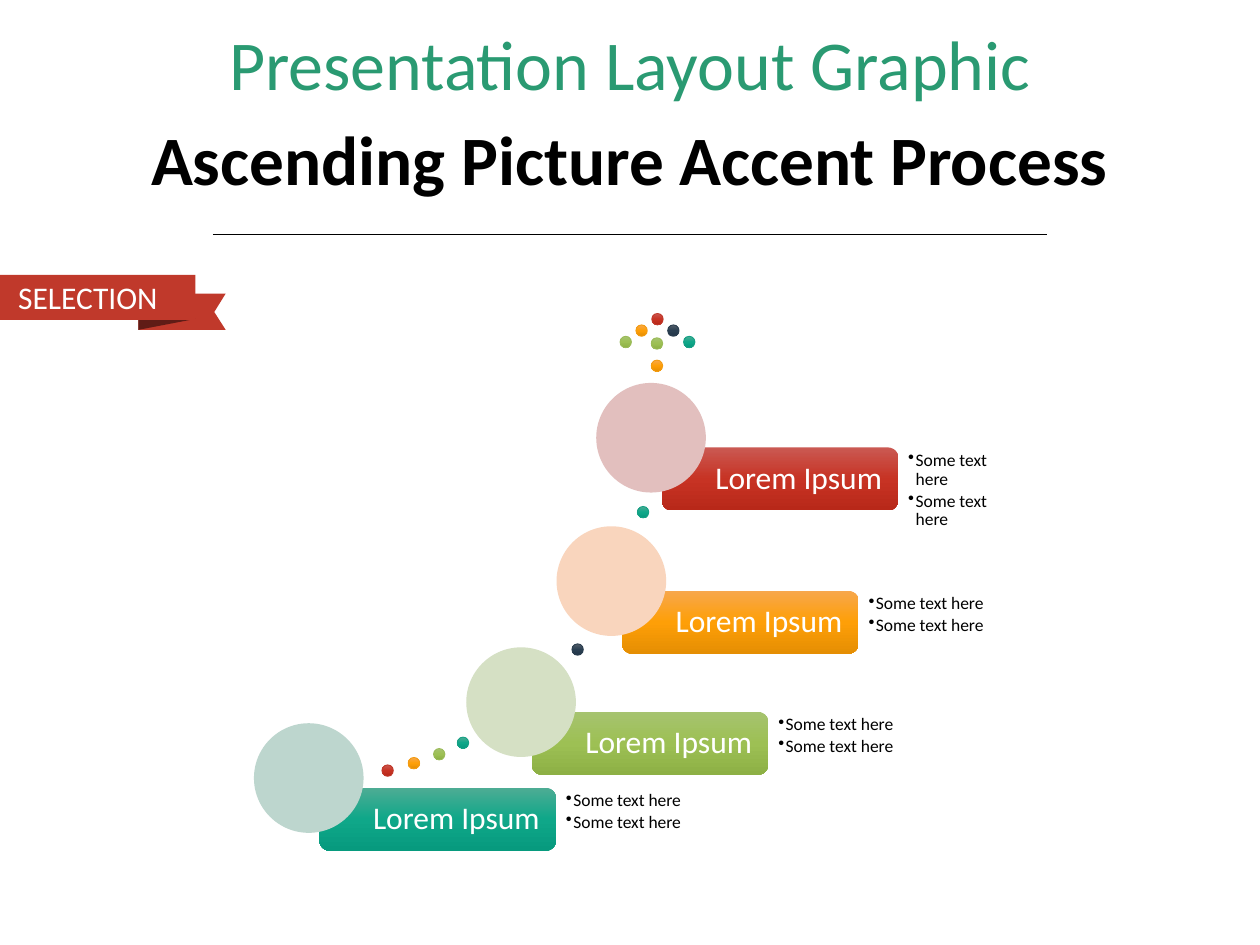
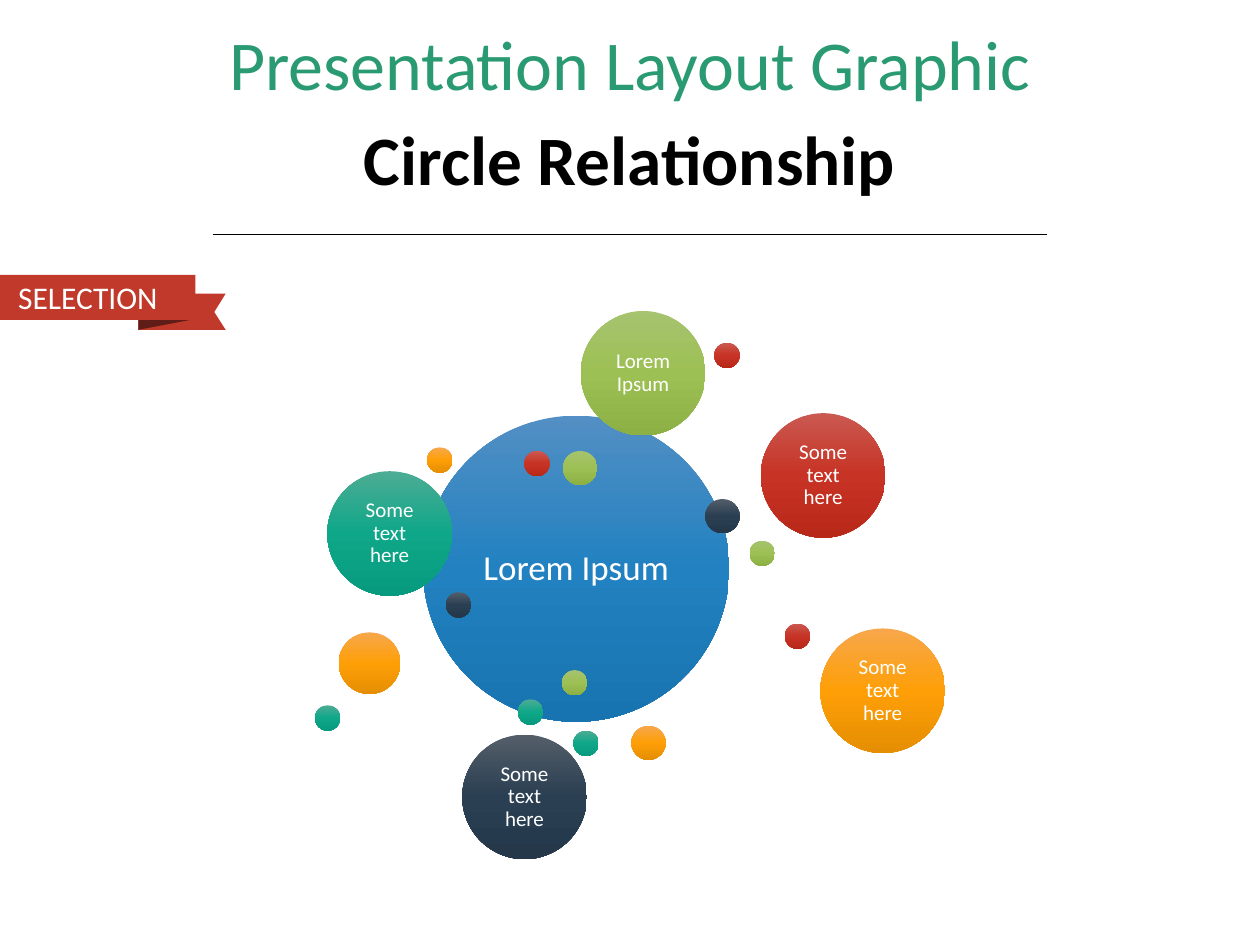
from dataclasses import dataclass
from itertools import cycle

from lxml.etree import SubElement
from pptx import Presentation
from pptx.dml.color import RGBColor
from pptx.enum.shapes import MSO_CONNECTOR, MSO_SHAPE
from pptx.enum.text import MSO_ANCHOR, PP_ALIGN
from pptx.oxml.ns import qn
from pptx.util import Cm, Pt

HEADING = "Presentation Layout Graphic"
RIBBON = "SELECTION"

STEPS_TITLE = "Ascending Picture Accent Process"
BULLETS = ["Some text here", "Some text here"]
STEPS = [
    ("Lorem Ipsum", "teal", 6.44, 15.88),
    ("Lorem Ipsum", "green", 10.72, 14.35),
    ("Lorem Ipsum", "orange", 12.54, 11.91),
    ("Lorem Ipsum", "red", 13.34, 9.02),
]
TRAIL = [(9.22, 14.86), (8.74, 15.09), (8.23, 15.27), (7.7, 15.42), (11.53, 12.98), (12.85, 10.21)]
ARROW_HEAD = [(12.5 + 0.32 * i, 6.32 + 0.23 * abs(i - 2)) for i in range(5)]
ARROW_STEM = [(13.13, 6.81), (13.13, 7.26)]

CIRCLES_TITLE = "Circle Relationship"
HUB = ("Lorem Ipsum", 8.53, 8.38)
SIZES = {"dot": 0.51, "bead": 0.69, "ball": 1.24, "label": 2.51, "hub": 6.17}
SATELLITES = [
    ("dot", 10.44, 14.1, ""),
    ("dot", 15.11, 10.9, ""),
    ("bead", 12.73, 14.63, ""),
    ("dot", 10.57, 9.09, ""),
    ("dot", 8.99, 11.94, ""),
    ("label", 6.6, 9.5, "Some text here"),
    ("bead", 11.35, 9.09, ""),
    ("ball", 6.83, 12.75, ""),
    ("label", 15.34, 8.33, "Some text here"),
    ("bead", 14.22, 10.06, ""),
    ("dot", 6.35, 14.22, ""),
    ("dot", 11.33, 13.51, ""),
    ("label", 16.54, 12.67, "Some text here"),
    ("dot", 15.82, 12.57, ""),
    ("label", 9.32, 14.81, "Some text here"),
    ("dot", 11.56, 14.73, ""),
    ("label", 11.71, 6.27, "Lorem Ipsum"),
    ("dot", 8.61, 9.02, ""),
    ("dot", 14.4, 6.91, ""),
]


@dataclass(frozen=True)
class Theme:
    font: str = "Calibri"
    heading: str = "2A9A72"
    ink: str = "000000"
    paper: str = "FFFFFF"
    ribbon: str = "C0392B"
    fold: str = "601C16"
    heading_size: float = 40
    title_size: float = 39.6
    hub_size: float = 20
    label_size: float = 18
    circle_size: float = 12
    bullet_size: float = 10


THEME = Theme()
GRADIENTS = {
    "teal": ("4DAC94", "0FA789", "079A7E"),
    "green": ("A6C36F", "9DC054", "8DB045"),
    "orange": ("F7A74C", "FE9F07", "E58E03"),
    "red": ("CA5952", "C73324", "B82819"),
    "navy": ("545E69", "2A3F52", "24384A"),
    "blue": ("528FC4", "2281C0", "1874B1"),
}
OUTLINES = {"teal": "16A085", "green": "9BBB59", "orange": "F39C12", "red": "C0392B", "navy": "2C3F50"}
PHOTOS = {"teal": "BDD6CE", "green": "D5E0C4", "orange": "F9D5BD", "red": "E2BFBE"}
ACCENTS = ("teal", "green", "orange", "red", "navy")


def rgb(value):
    return RGBColor.from_string(value)


def box(*lengths):
    return [Cm(length) for length in lengths]


def paint(sp, color):
    sp.shadow.inherit = False
    sp.line.fill.background()
    if color not in GRADIENTS:
        sp.fill.solid()
        sp.fill.fore_color.rgb = rgb(color)
        return sp
    sp.fill.gradient()
    sp.fill.gradient_angle = 270
    stops = sp.element.spPr.find(".//" + qn("a:gsLst"))
    for stop in list(stops):
        stops.remove(stop)
    for pos, value in zip((0, 50000, 100000), GRADIENTS[color]):
        gs = SubElement(stops, qn("a:gs"), pos=str(pos))
        SubElement(gs, qn("a:srgbClr"), val=value)
    return sp


def add_shape(s, kind, bounds, color):
    return paint(s.shapes.add_shape(kind, *box(*bounds)), color)


def add_polygon(s, points, color):
    start, *rest = [box(*point) for point in points]
    builder = s.shapes.build_freeform(*start, scale=1.0)
    builder.add_line_segments(rest, close=True)
    return paint(builder.convert_to_shape(), color)


def write(sp, lines, size, color, align=PP_ALIGN.CENTER, insets=(0.25, 0.13, 0.25, 0.13),
          anchor=MSO_ANCHOR.MIDDLE, bold=False, bullet=False, spacing=0.9):
    tf = sp.text_frame
    tf.word_wrap = True
    tf.vertical_anchor = anchor
    tf.margin_left, tf.margin_top, tf.margin_right, tf.margin_bottom = box(*insets)
    tf.text = "\n".join(lines)
    for p in tf.paragraphs:
        if bullet:
            pPr = p._p.get_or_add_pPr()
            pPr.set("marL", str(Cm(0.15)))
            pPr.set("indent", str(-Cm(0.15)))
            SubElement(pPr, qn("a:buChar"), char="•")
            p.space_after = Pt(1.5)
        p.alignment = align
        p.line_spacing = spacing
        for r in p.runs:
            r.font.name = THEME.font
            r.font.size = Pt(size)
            r.font.bold = bold
            r.font.color.rgb = rgb(color)


def add_frame(prs, title):
    s = prs.slides.add_slide(prs.slide_layouts[6])
    heading = s.shapes.add_textbox(*box(1.75, 0.41, 21.89, 1.91))
    write(heading, [HEADING], THEME.heading_size, THEME.heading)
    rule = s.shapes.add_connector(MSO_CONNECTOR.STRAIGHT, *box(4.29, 4.72, 21.11, 4.72))
    rule.line.color.rgb = rgb(THEME.ink)
    rule.line.width = Pt(0.5)
    SubElement(rule.element.spPr, qn("a:effectLst"))
    add_polygon(s, [(2.79, 6.65), (4.55, 6.65), (4.32, 6.29), (4.55, 5.92), (2.79, 5.92)], THEME.ribbon)
    add_polygon(s, [(3.94, 6.43), (2.79, 6.65), (2.79, 6.43)], THEME.fold)
    band = add_shape(s, MSO_SHAPE.RECTANGLE, (0, 5.54, 3.94, 0.91), THEME.ribbon)
    write(band, [RIBBON], THEME.label_size, THEME.paper, PP_ALIGN.RIGHT, (0.25, 0, 0.76, 0), spacing=1.0)
    caption = s.shapes.add_textbox(*box(1.75, 2.34, 21.89, 1.91))
    write(caption, [title], THEME.title_size, THEME.ink, bold=True)
    return s


def add_steps(prs):
    s = add_frame(prs, STEPS_TITLE)
    for (x, y), accent in zip(TRAIL + ARROW_HEAD + ARROW_STEM, cycle(ACCENTS)):
        dot = add_shape(s, MSO_SHAPE.OVAL, (x, y, 0.23, 0.23), accent)
        dot.line.color.rgb = rgb(OUTLINES[accent])
        dot.line.width = Pt(0.5)
    bar_w, bar_h, photo, right = 4.77, 1.27, 2.21, 20.28
    for label, accent, x, y in STEPS:
        bar = add_shape(s, MSO_SHAPE.ROUNDED_RECTANGLE, (x, y, bar_w, bar_h), accent)
        write(bar, [label], THEME.label_size, THEME.paper, PP_ALIGN.LEFT, (1.02, 0.18, 0.18, 0.18))
        notes_x = x + bar_w
        notes = s.shapes.add_textbox(*box(notes_x, y, right - notes_x, bar_h))
        write(notes, BULLETS, THEME.bullet_size, THEME.ink, PP_ALIGN.LEFT,
              (0.2, 0.08, 0.08, 0.08), MSO_ANCHOR.TOP, bullet=True)
        add_shape(s, MSO_SHAPE.OVAL, (x - 1.32, y - 1.3, photo, photo), PHOTOS[accent])


def add_circle(s, kind, x, y, accent, text, size):
    circle = add_shape(s, MSO_SHAPE.OVAL, (x, y, SIZES[kind], SIZES[kind]), accent)
    if text:
        write(circle, [text], size, THEME.paper, insets=(0.13,) * 4)


def add_circles(prs):
    s = add_frame(prs, CIRCLES_TITLE)
    text, x, y = HUB
    add_circle(s, "hub", x, y, "blue", text, THEME.hub_size)
    for (kind, x, y, text), accent in zip(SATELLITES, cycle(ACCENTS)):
        add_circle(s, kind, x, y, accent, text, THEME.circle_size)


def main():
    prs = Presentation()
    prs.slide_width, prs.slide_height = box(25.4, 19.05)
    add_steps(prs)
    add_circles(prs)
    prs.save("out.pptx")


if __name__ == "__main__":
    main()
